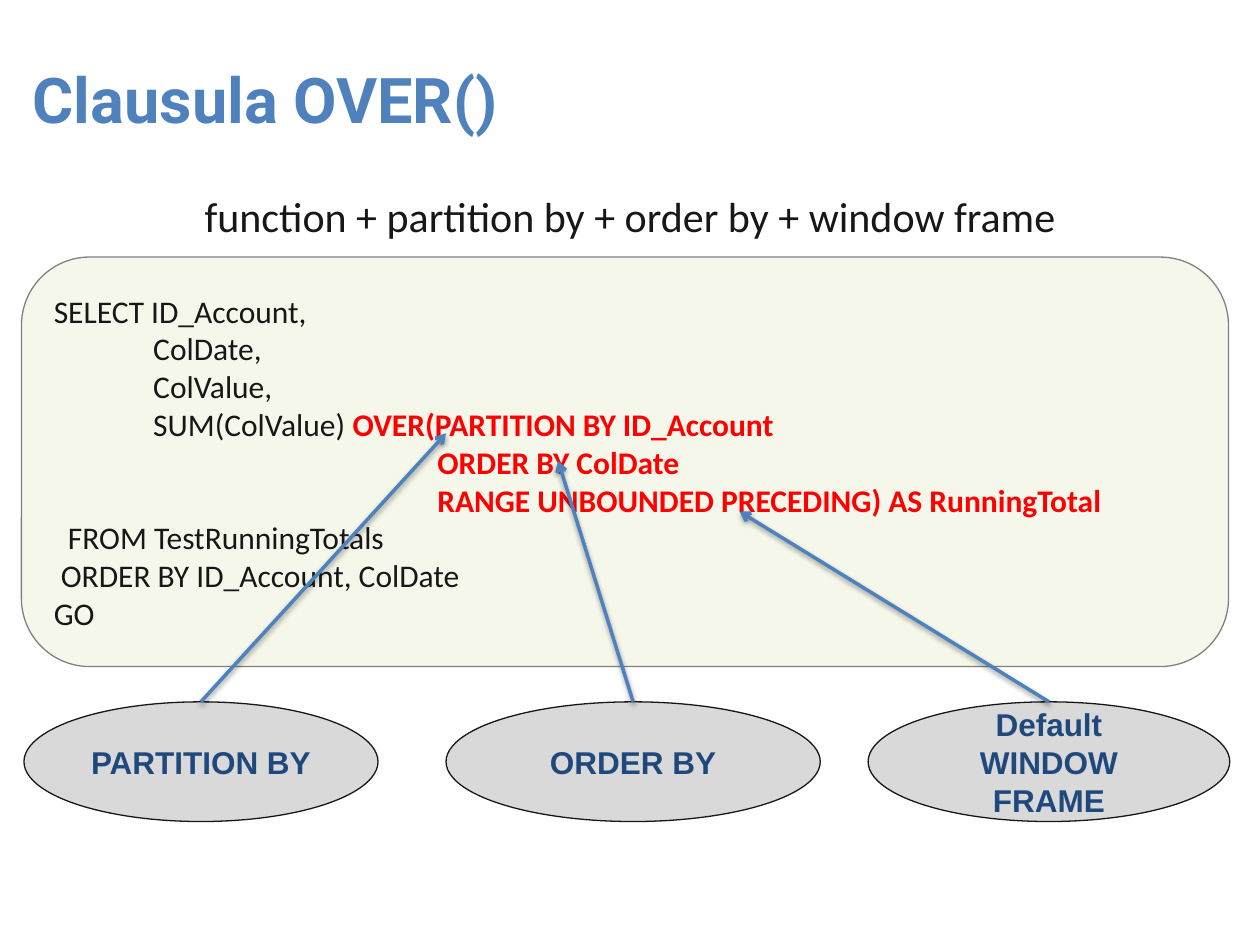
"""Build the slide that explains the parts of the SQL OVER() clause."""
from dataclasses import dataclass

import lxml.etree
import pptx
import pptx.dml.color
import pptx.enum.shapes
import pptx.enum.text
import pptx.oxml.ns
import pptx.util
from pptx.util import Inches, Pt

RGBColor = pptx.dml.color.RGBColor
Shapes = pptx.enum.shapes.MSO_SHAPE
Alignment = pptx.enum.text.PP_ALIGN
Anchor = pptx.enum.text.MSO_ANCHOR

BLUE = RGBColor(0x4F, 0x81, 0xBD)
NAVY = RGBColor(0x1F, 0x49, 0x7D)
INK = RGBColor(0x17, 0x17, 0x17)
RED = RGBColor(0xFF, 0x00, 0x00)
GRAY = RGBColor(0x80, 0x80, 0x80)
LIGHT_GRAY = RGBColor(0xD9, 0xD9, 0xD9)
CREAM = RGBColor(0xF6, 0xF7, 0xEB)

COLUMN_INDENT = " " * 14
CLAUSE_INDENT = " " * 54


@dataclass(frozen=True)
class CodeLine:
    plain: str = ""
    highlighted: str = ""


@dataclass(frozen=True)
class ClausePart:
    label: str
    left: float
    width: float
    target_x: float
    target_y: float


CODE_LINES = [
    CodeLine("SELECT ID_Account,"),
    CodeLine(COLUMN_INDENT + "ColDate,"),
    CodeLine(COLUMN_INDENT + "ColValue,"),
    CodeLine(COLUMN_INDENT + "SUM(ColValue) ", "OVER(PARTITION BY ID_Account"),
    CodeLine(highlighted=CLAUSE_INDENT + "ORDER BY ColDate"),
    CodeLine(highlighted=CLAUSE_INDENT + "RANGE UNBOUNDED PRECEDING) AS RunningTotal"),
    CodeLine("  FROM TestRunningTotals"),
    CodeLine(" ORDER BY ID_Account, ColDate"),
    CodeLine("GO"),
]

CLAUSE_PARTS = [
    ClausePart("PARTITION BY", 0.19, 2.81, 3.54, 3.44),
    ClausePart("ORDER BY", 3.54, 2.97, 4.43, 3.66),
    ClausePart("Default WINDOW FRAME", 6.89, 2.87, 5.87, 4.06),
]


def set_font(font, name: str, size: float, color: RGBColor, bold: bool = False) -> None:
    """Set the face, size, colour and weight of a font."""
    font.name = name
    font.size = Pt(size)
    font.color.rgb = color
    font.bold = bold


def add_box(slide, kind, left: float, top: float, width: float, height: float,
            fill: RGBColor, outline: RGBColor):
    """Add a filled, outlined shape with middle-anchored wrapping text."""
    shape = slide.shapes.add_shape(
        kind, Inches(left), Inches(top), Inches(width), Inches(height))
    shape.shadow.inherit = False
    shape.fill.solid()
    shape.fill.fore_color.rgb = fill
    shape.line.color.rgb = outline
    shape.line.width = Pt(0.75)
    shape.text_frame.word_wrap = True
    shape.text_frame.vertical_anchor = Anchor.MIDDLE
    return shape


def add_title(slide, text: str) -> None:
    """Place and format the title placeholder."""
    title = slide.shapes.title
    title.left, title.top = Inches(0.16), Inches(0.39)
    title.width, title.height = Inches(9.84), Inches(0.78)
    title.text_frame.text = text
    title.text_frame.vertical_anchor = Anchor.MIDDLE
    paragraph = title.text_frame.paragraphs[0]
    paragraph.alignment = Alignment.LEFT
    set_font(paragraph.font, "Roboto", 36, BLUE, True)


def add_summary(slide, text: str) -> None:
    """Add the centred line that sums up the clause."""
    box = slide.shapes.add_textbox(0, Inches(1.46), Inches(10), Inches(0.5))
    box.text_frame.word_wrap = True
    box.text_frame.auto_size = pptx.enum.text.MSO_AUTO_SIZE.SHAPE_TO_FIT_TEXT
    box.text_frame.text = text
    paragraph = box.text_frame.paragraphs[0]
    paragraph.alignment = Alignment.CENTER
    set_font(paragraph.font, "Calibri", 24, INK)


def add_code(slide, lines: list[CodeLine]) -> None:
    """Add the code panel with its highlighted clause."""
    panel = add_box(slide, Shapes.ROUNDED_RECTANGLE, 0.17, 2.04, 9.58, 3.25, CREAM, GRAY)
    frame = panel.text_frame
    for index, line in enumerate(lines):
        paragraph = frame.add_paragraph() if index else frame.paragraphs[0]
        paragraph.alignment = Alignment.LEFT
        for text, color, bold in ((line.plain, INK, False), (line.highlighted, RED, True)):
            if text:
                run = paragraph.add_run()
                run.text = text
                set_font(run.font, "Calibri", 18, color, bold)


def add_ellipse(slide, part: ClausePart):
    """Add the labelled ellipse of one clause part."""
    ellipse = add_box(slide, Shapes.OVAL, part.left, 5.57, part.width, 0.95, LIGHT_GRAY, INK)
    ellipse.text_frame.text = part.label
    paragraph = ellipse.text_frame.paragraphs[0]
    paragraph.alignment = Alignment.CENTER
    set_font(paragraph.font, "Arial", 18, NAVY, True)
    return ellipse


def add_arrow(slide, ellipse, part: ClausePart) -> None:
    """Add a shadowed arrow from the top of an ellipse to its code."""
    arrow = slide.shapes.add_connector(
        pptx.enum.shapes.MSO_CONNECTOR.STRAIGHT, ellipse.left, ellipse.top,
        Inches(part.target_x), Inches(part.target_y))
    arrow.begin_connect(ellipse, 0)
    arrow.line.color.rgb = BLUE
    arrow.line.width = Pt(2)
    qn = pptx.oxml.ns.qn
    properties = arrow._element.spPr
    lxml.etree.SubElement(properties.find(qn("a:ln")), qn("a:tailEnd"), type="arrow")
    effects = lxml.etree.SubElement(properties, qn("a:effectLst"))
    shadow = lxml.etree.SubElement(
        effects, qn("a:outerShdw"), blurRad=str(Pt(3.1)), dist=str(Pt(1.6)),
        dir="5400000", rotWithShape="0")
    color = lxml.etree.SubElement(shadow, qn("a:srgbClr"), val="000000")
    lxml.etree.SubElement(color, qn("a:alpha"), val="38000")


def main() -> None:
    """Build and save the presentation."""
    presentation = pptx.Presentation()
    presentation.slide_width = Inches(10)
    presentation.slide_height = Inches(7.5)
    slide = presentation.slides.add_slide(presentation.slide_layouts[5])
    add_title(slide, "Clausula OVER()")
    add_code(slide, CODE_LINES)
    ellipses = [add_ellipse(slide, part) for part in CLAUSE_PARTS]
    for ellipse, part in zip(ellipses, CLAUSE_PARTS):
        add_arrow(slide, ellipse, part)
    add_summary(slide, "function + partition by + order by + window frame")
    presentation.save("out.pptx")


if __name__ == "__main__":
    main()
